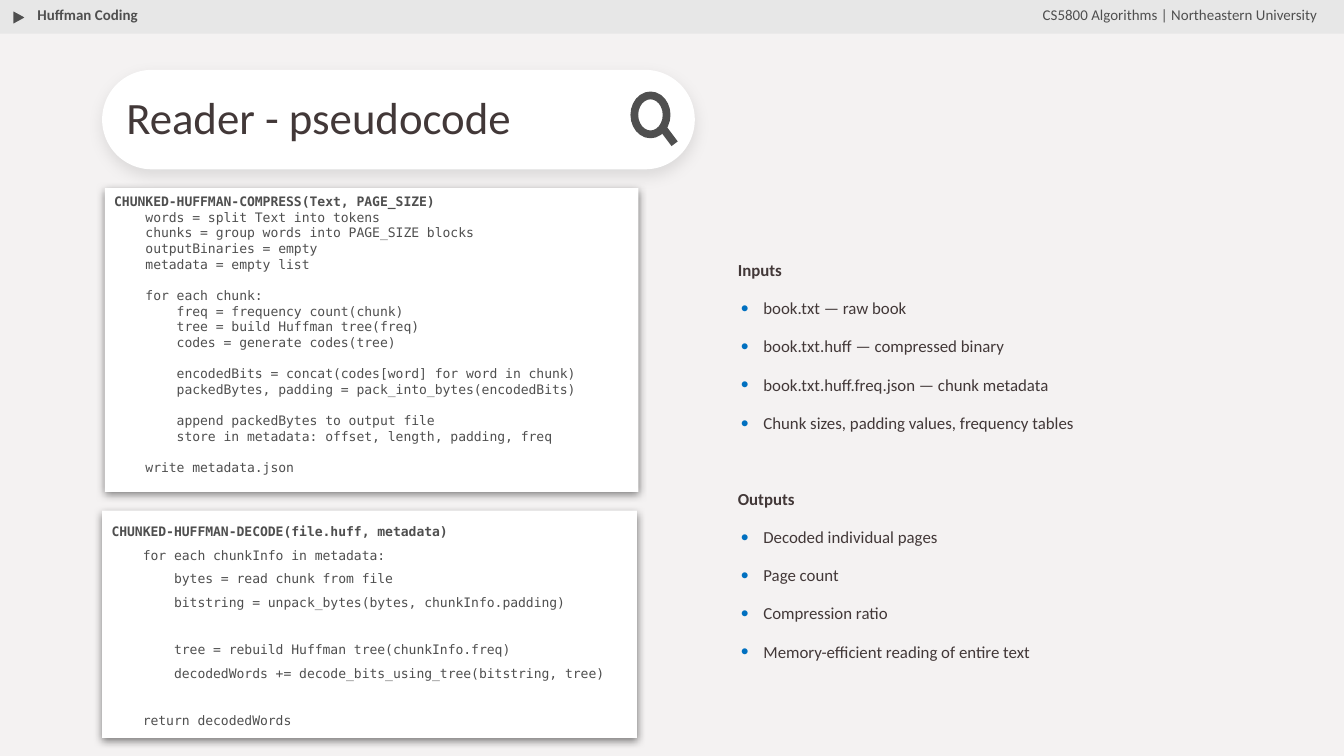
import pptx
import pptx.dml.color
import pptx.enum.shapes
import pptx.enum.text
import pptx.oxml
import pptx.oxml.ns
import pptx.util
from lxml import etree

Inches, Pt = pptx.util.Inches, pptx.util.Pt
SHAPE = pptx.enum.shapes.MSO_SHAPE
ANCHOR = pptx.enum.text.MSO_ANCHOR
qn = pptx.oxml.ns.qn

COLORS = {"page": "F4F2F2", "bar": "E7E7E7", "gray": "4F4F4F",
          "text": "423838", "white": "FFFFFF", "bullet": "0070C0", "shadow": "000000"}
BODY_FONT, CODE_FONT = "Calibri", "DejaVu Sans Mono"
CODE_INSETS = (0.07, 0.04, 0.07, 0.04)

COMPRESS_CODE = """\
CHUNKED-HUFFMAN-COMPRESS(Text, PAGE_SIZE)
    words = split Text into tokens
    chunks = group words into PAGE_SIZE blocks
    outputBinaries = empty
    metadata = empty list

    for each chunk:
        freq = frequency count(chunk)
        tree = build Huffman tree(freq)
        codes = generate codes(tree)

        encodedBits = concat(codes[word] for word in chunk)
        packedBytes, padding = pack_into_bytes(encodedBits)

        append packedBytes to output file
        store in metadata: offset, length, padding, freq

    write metadata.json"""

DECODE_CODE = """\
CHUNKED-HUFFMAN-DECODE(file.huff, metadata)
    for each chunkInfo in metadata:
        bytes = read chunk from file
        bitstring = unpack_bytes(bytes, chunkInfo.padding)

        tree = rebuild Huffman tree(chunkInfo.freq)
        decodedWords += decode_bits_using_tree(bitstring, tree)

    return decodedWords"""

DATA_LISTS = {
    "Inputs": ["book.txt — raw book", "book.txt.huff — compressed binary",
               "book.txt.huff.freq.json — chunk metadata",
               "Chunk sizes, padding values, frequency tables"],
    "Outputs": ["Decoded individual pages", "Page count", "Compression ratio",
                "Memory-efficient reading of entire text"],
}


def rgb(name):
    return pptx.dml.color.RGBColor.from_string(COLORS[name])


def add_effects(shape, shadow=None):
    """Add an effect list; shadow is (opacity %, blur pt, distance pt)."""
    effects = etree.SubElement(shape._element.spPr, qn("a:effectLst"))
    if shadow:
        opacity, blur, distance = shadow
        outer = etree.SubElement(effects, qn("a:outerShdw"), blurRad=str(Pt(blur)),
                                 dist=str(Pt(distance)), dir="5400000",
                                 algn="t", rotWithShape="0")
        color = etree.SubElement(outer, qn("a:srgbClr"), val=COLORS["shadow"])
        etree.SubElement(color, qn("a:alpha"), val=str(opacity * 1000))


def add_panel(slide, kind, box, fill, line=None, weight=0.75, shadow=None):
    panel = slide.shapes.add_shape(kind, *map(Inches, box))
    panel.fill.solid()
    panel.fill.fore_color.rgb = rgb(fill)
    if line:
        panel.line.color.rgb = rgb(line)
        panel.line.width = Pt(weight)
    else:
        panel.line.fill.background()
    add_effects(panel, shadow)
    return panel


def prepare_frame(shape, insets=(0, 0, 0, 0), anchor=ANCHOR.TOP):
    frame = shape.text_frame
    frame.word_wrap = True
    frame.vertical_anchor = anchor
    frame.margin_left, frame.margin_top, frame.margin_right, frame.margin_bottom = map(
        Inches, insets)
    return frame


def write(frame, text, size, color, font=BODY_FONT, bold=False, spacing=1.0,
          before=0, bullet=False):
    """Write one paragraph; the first call uses the frame's own paragraph."""
    paragraph = frame.paragraphs[0]
    if paragraph.runs:
        paragraph = frame.add_paragraph()
    paragraph.alignment = pptx.enum.text.PP_ALIGN.LEFT
    paragraph.line_spacing = spacing
    paragraph.space_before = Pt(before)
    if bullet:
        props = paragraph._p.get_or_add_pPr()
        props.set("marL", str(Inches(0.19)))
        props.set("indent", str(Inches(-0.17)))
        bullet_color = etree.SubElement(props, qn("a:buClr"))
        etree.SubElement(bullet_color, qn("a:srgbClr"), val=COLORS["bullet"])
        etree.SubElement(props, qn("a:buFont"), typeface=font)
        etree.SubElement(props, qn("a:buChar"), char="•")
    run = paragraph.add_run()
    run.text = text
    run.font.name, run.font.size, run.font.bold = font, Pt(size), bold
    run.font.color.rgb = rgb(color)


def add_header(slide, box):
    left, top, width, height = box
    add_panel(slide, SHAPE.RECTANGLE, box, "bar")
    marker = add_panel(slide, SHAPE.ISOSCELES_TRIANGLE,
                       (left + 0.1, top + 0.08, 0.11, 0.1), "gray", line="bar")
    marker.rotation = 90
    labels = [("Huffman Coding", 0.19, 1.28, True),
              ("CS5800 Algorithms | Northeastern University", 7.67, 2.28, False)]
    for text, offset, label_width, bold in labels:
        label = slide.shapes.add_textbox(Inches(left + offset), Inches(top - 0.04),
                                         Inches(label_width), Inches(0.47))
        write(prepare_frame(label, (0.1, 0.13, 0.1, 0.1)), text, 8, "gray", bold=bold)


def add_title(slide, box, text):
    left, top, width, height = box
    pill = add_panel(slide, SHAPE.ROUNDED_RECTANGLE, box, "white", shadow=(10, 8.3, 2.8))
    pill.adjustments[0] = 0.5
    # Magnifier
    add_panel(slide, SHAPE.OVAL, (left + 3.96, top + 0.19, 0.24, 0.29), "white",
              line="gray", weight=4.15)
    handle = slide.shapes.add_connector(
        pptx.enum.shapes.MSO_CONNECTOR.STRAIGHT, Inches(left + 4.17), Inches(top + 0.43),
        Inches(left + 4.26), Inches(top + 0.55))
    handle.line.color.rgb = rgb("gray")
    handle.line.width = Pt(4.15)
    add_effects(handle)
    # Title text
    title = slide.shapes.add_textbox(Inches(left + 0.18), Inches(top),
                                     Inches(3.67), Inches(height))
    write(prepare_frame(title, anchor=ANCHOR.MIDDLE), text, 24, "text", spacing=0.9)


def add_code(slide, box, code, spacing=1.0):
    """Code card with a bold signature; an empty line becomes space before."""
    card = add_panel(slide, SHAPE.RECTANGLE, box, "white", shadow=(50, 4.5, 1.5))
    frame = prepare_frame(card, CODE_INSETS)
    gap = 0
    for index, line in enumerate(code.split("\n")):
        if not line:
            gap = 8.4 * spacing
            continue
        write(frame, line, 7, "gray", font=CODE_FONT, bold=index == 0,
              spacing=spacing, before=gap)
        gap = 0


def add_data_lists(slide, box, lists):
    area = slide.shapes.add_textbox(*map(Inches, box))
    frame = prepare_frame(area, CODE_INSETS)
    for index, (heading, items) in enumerate(lists.items()):
        write(frame, heading, 9, "text", bold=True, spacing=1.15,
              before=28.4 if index else 0)
        for item in items:
            write(frame, item, 9, "text", spacing=1.15, before=8, bullet=True)


def main():
    deck = pptx.Presentation()
    # Widescreen, 16:9
    deck.slide_width = Inches(10)
    deck.slide_height = deck.slide_width * 9 // 16
    slide = deck.slides.add_slide(deck.slide_layouts[6])
    slide.background.fill.solid()
    slide.background.fill.fore_color.rgb = rgb("page")

    add_header(slide, (-0.01, 0, 10.01, 0.25))
    add_title(slide, (0.76, 0.52, 4.41, 0.74), "Reader - pseudocode")
    add_code(slide, (0.78, 1.4, 3.97, 2.26), COMPRESS_CODE)
    add_code(slide, (0.76, 3.8, 3.98, 1.69), DECODE_CODE, spacing=1.5)
    add_data_lists(slide, (5.42, 1.87, 2.87, 2.99), DATA_LISTS)
    deck.save("out.pptx")


if __name__ == "__main__":
    main()
